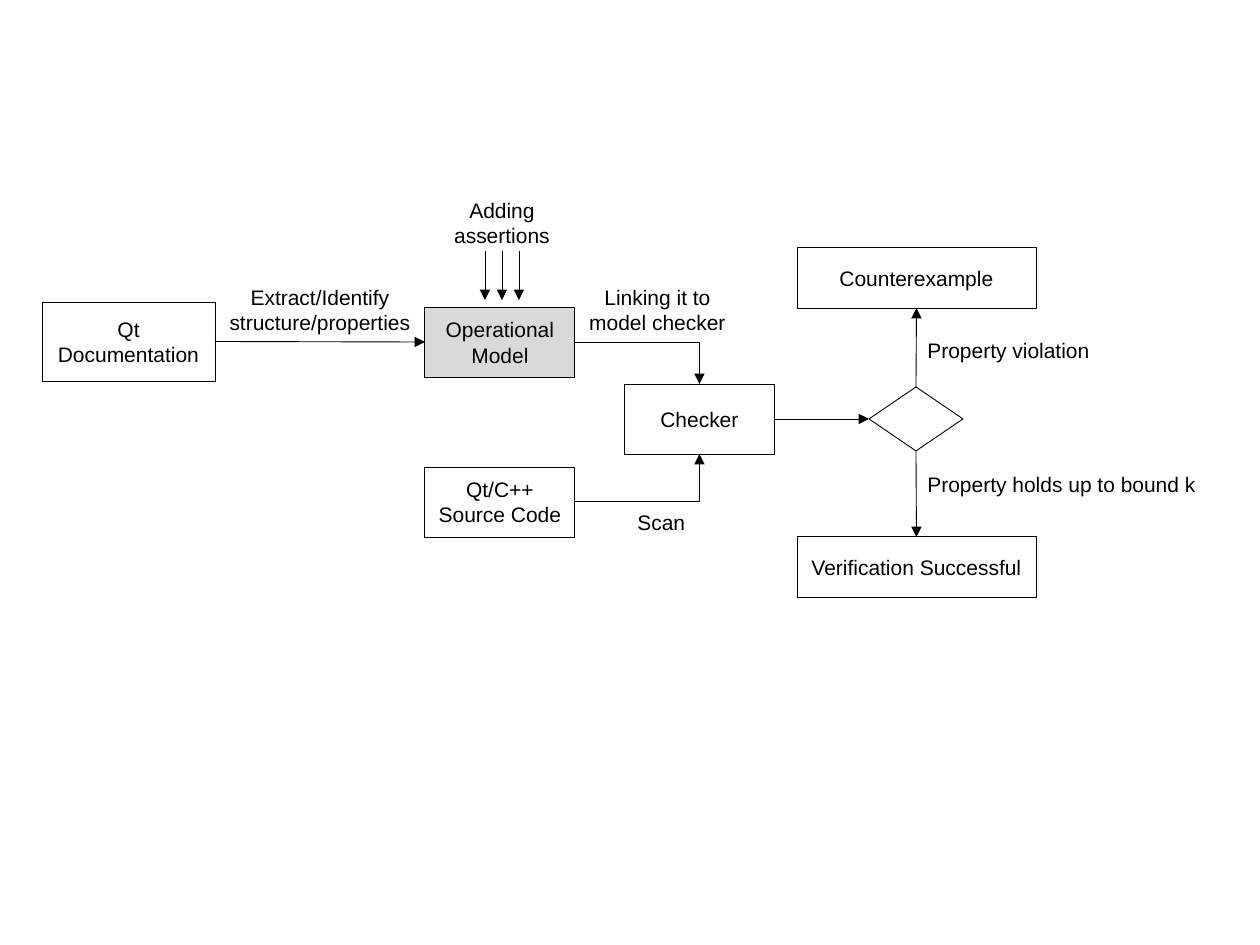
from lxml import etree
from pptx import Presentation
from pptx.dml.color import RGBColor
from pptx.enum.shapes import MSO_CONNECTOR, MSO_SHAPE
from pptx.enum.text import MSO_ANCHOR, MSO_AUTO_SIZE, PP_ALIGN
from pptx.oxml.ns import qn
from pptx.util import Pt

PROCESS, DECISION = MSO_SHAPE.FLOWCHART_PROCESS, MSO_SHAPE.FLOWCHART_DECISION
STRAIGHT, ELBOW = MSO_CONNECTOR.STRAIGHT, MSO_CONNECTOR.ELBOW
LEFT, CENTER = PP_ALIGN.LEFT, PP_ALIGN.CENTER
MIDDLE, FIT = MSO_ANCHOR.MIDDLE, MSO_AUTO_SIZE.SHAPE_TO_FIT_TEXT
TOP_SITE, LEFT_SITE, BOTTOM_SITE, RIGHT_SITE = range(4)
SCALE = 914400 / 126
BLACK, WHITE, GRAY = "000000", "FFFFFF", "D9D9D9"


def px(*lengths):
    """Turn pixel lengths into EMU."""
    return [round(n * SCALE) for n in lengths]


def color(value):
    """Return the colour for a hex string."""
    return RGBColor.from_string(value)


def write(sp, text, align):
    """Set and format the text of a shape."""
    tf = sp.text_frame
    tf.text = text
    p = tf.paragraphs[0]
    p.alignment = align
    font = p.runs[0].font
    font.name, font.size = "Arial", Pt(12)
    font.color.rgb = color(BLACK)


def node(s, x, y, w, h, text="", fill=WHITE, kind=PROCESS):
    """Add an outlined flowchart node."""
    sp = s.shapes.add_shape(kind, *px(x, y, w, h))
    sp.shadow.inherit = False
    sp.fill.solid()
    sp.fill.fore_color.rgb = color(fill)
    sp.line.color.rgb = color(BLACK)
    sp.line.width = Pt(0.5)
    if text:
        write(sp, text, CENTER)
        sp.text_frame.word_wrap = True
        sp.text_frame.vertical_anchor = MIDDLE
    return sp


def label(s, x, y, w, h, text, align=LEFT):
    """Add a label; centred labels wrap within their width."""
    sp = s.shapes.add_textbox(*px(x, y, w, h))
    write(sp, text, align)
    sp.text_frame.word_wrap = align == CENTER
    sp.text_frame.auto_size = FIT


def arrow(s, x1, y1, x2, y2, kind=STRAIGHT):
    """Add an arrow between two points."""
    c = s.shapes.add_connector(kind, *px(x1, y1, x2, y2))
    c.line.color.rgb = color(BLACK)
    c.line.width = Pt(0.5)
    sppr = c._element.spPr
    etree.SubElement(sppr.find(qn("a:ln")), qn("a:tailEnd"), type="triangle")
    etree.SubElement(sppr, qn("a:effectLst"))
    if kind == ELBOW:
        sppr.find(qn("a:prstGeom")).set("prst", "bentConnector2")
    return c


def link(s, start, start_site, end, end_site, kind=STRAIGHT):
    """Join two nodes with an arrow glued to their sites."""
    c = arrow(s, 0, 0, 0, 0, kind)
    c.begin_connect(start, start_site)
    c.end_connect(end, end_site)


def modelling(s, x, y):
    """Place the documentation, the model and the source code."""
    docs = node(s, x, y + 111, 173, 79, "Qt Documentation")
    model, source = [
        node(s, x + 383, y + top, 150, 70, text, fill)
        for top, text, fill in ((116, "Operational Model", GRAY),
                                (276, "Qt/C++ Source Code", WHITE))]
    link(s, docs, RIGHT_SITE, model, LEFT_SITE)
    label(s, x + 173, y + 87, 210, 63,
          "Extract/Identify structure/properties", CENTER)
    label(s, x + 365, y, 190, 63, "Adding assertions", CENTER)
    for i in range(3):
        left = x + 443 + 17 * i
        arrow(s, left, y + 60, left, y + 109)
    return model, source


def checking(s, x, y, model, source):
    """Place the checker and the arrows that lead to it."""
    checker = node(s, x + 50, y + 106, 149, 70, "Checker")
    link(s, model, RIGHT_SITE, checker, TOP_SITE, ELBOW)
    link(s, source, RIGHT_SITE, checker, BOTTOM_SITE, ELBOW)
    label(s, x, y, 165, 63, "Linking it to model checker", CENTER)
    label(s, x + 50, y + 225, 74, 38, "Scan")
    return checker


def outcomes(s, x, y, checker):
    """Place the decision and its two results."""
    decision = node(s, x + 72, y + 139, 94, 64, kind=DECISION)
    link(s, checker, RIGHT_SITE, decision, LEFT_SITE)
    for top, text, site, end_site, label_top, label_w, condition in (
            (0, "Counterexample", TOP_SITE, BOTTOM_SITE,
             83, 189, "Property violation"),
            (289, "Verification Successful", BOTTOM_SITE, TOP_SITE,
             217, 296, "Property holds up to bound k")):
        result = node(s, x, y + top, 239, 60, text)
        link(s, decision, site, result, end_site)
        label(s, x + 118, y + label_top, label_w, 38, condition)


def main():
    """Build the verification flow slide."""
    prs = Presentation()
    prs.slide_width, prs.slide_height = px(1260, 945)
    s = prs.slides.add_slide(prs.slide_layouts[6])
    model, source = modelling(s, 42, 191)
    checker = checking(s, 575, 278, model, source)
    outcomes(s, 797, 248, checker)
    prs.save("out.pptx")


main()
